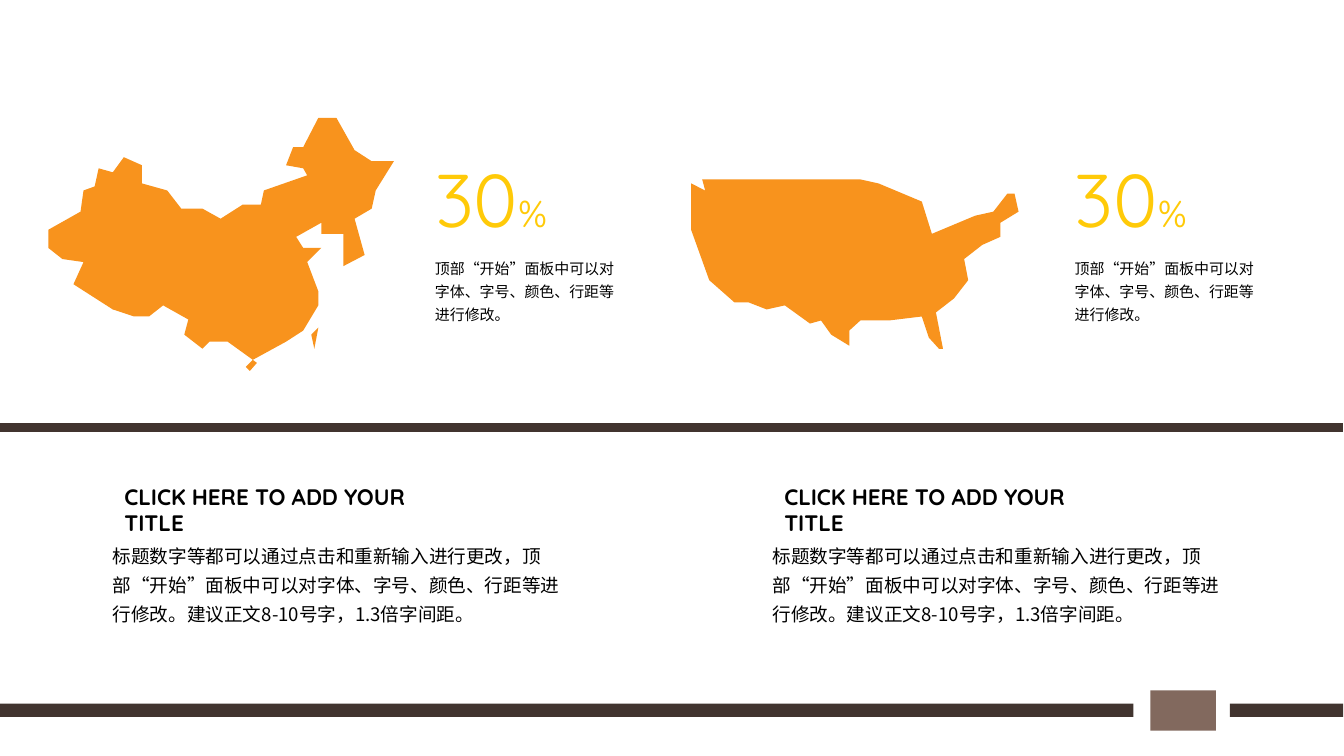
"""Build a two-country comparison slide with maps, percentages and captions."""
import pptx
import pptx.dml.color
import pptx.enum.shapes
import pptx.enum.text
import pptx.util
import lxml.etree

Pt = pptx.util.Pt
RECTANGLE = pptx.enum.shapes.MSO_SHAPE.RECTANGLE

LATIN, CHINESE = "Quicksand", "Noto Sans CJK SC"
ORANGE, YELLOW, BLACK, WHITE = "F8931D", "FFCA08", "000000", "FFFFFF"
BROWN, TAUPE = "41342F", "82695E"

MAP_UNIT = 0.72
HAINAN = [(244, 364), (251, 357), (255, 360), (248, 368)]
TAIWAN = [(309, 332), (316, 325), (312, 346)]
CHINA = [
    (391, 160), (369, 160), (352, 149), (334, 117), (316, 117), (301, 146), (291, 146),
    (284, 164), (301, 167), (305, 174), (262, 189), (259, 203), (241, 203), (219, 217),
    (201, 207), (180, 207), (166, 189), (141, 182), (141, 164), (123, 156), (112, 171),
    (98, 167), (94, 185), (83, 189), (80, 210), (48, 228), (48, 246), (62, 257),
    (83, 260), (73, 282), (112, 307), (133, 314), (148, 314), (162, 303), (187, 317),
    (183, 332), (201, 346), (208, 339), (226, 339), (251, 357), (284, 339), (301, 328),
    (316, 303), (316, 289), (305, 260), (319, 246), (301, 246), (294, 235), (319, 221),
    (319, 232), (341, 232), (341, 264), (362, 253), (352, 217), (369, 207), (373, 189),
]
UNITED_STATES = [
    (743, 300), (761, 307), (779, 303), (804, 321), (815, 318), (825, 332), (843, 343),
    (843, 328), (854, 318), (882, 318), (915, 314), (922, 335), (932, 346), (936, 346),
    (929, 310), (947, 296), (961, 278), (957, 257), (975, 243), (993, 235), (993, 221),
    (1011, 210), (1007, 192), (1000, 192), (986, 210), (968, 214), (925, 232), (915, 200),
    (872, 182), (854, 178), (697, 178), (700, 189), (686, 182), (686, 228), (704, 278),
    (729, 300),
]
NOTE = "顶部“开始”面板中可以对字体、字号、颜色、行距等进行修改。"
TITLE = "CLICK HERE TO ADD YOUR TITLE"
BODY = "标题数字等都可以通过点击和重新输入进行更改，顶部“开始”面板中可以对字体、字号、颜色、行距等进行修改。建议正文8-10号字，1.3倍字间距。"
FOOTER = [(0, 502.6, 810, 9.4, BROWN), (879, 502.6, 81, 9.4, BROWN),
          (822.2, 493.2, 46.8, 28.8, TAUPE)]
FIGURE_LEFTS = (303.8, 761)
CAPTION_LEFTS = (73.4, 545)
TITLE_INDENT = 8.4
LOOSE = 1.3


def colour(code):
    return pptx.dml.color.RGBColor.from_string(code)


def paint(shape, code):
    shape.shadow.inherit = False
    shape.fill.solid()
    shape.fill.fore_color.rgb = colour(code)
    shape.line.fill.background()


def add_block(page, left, top, width, height, code):
    block = page.shapes.add_shape(RECTANGLE, Pt(left), Pt(top), Pt(width), Pt(height))
    paint(block, code)
    return block


def add_outline(page, points):
    builder = page.shapes.build_freeform(*points[0], scale=Pt(MAP_UNIT))
    builder.add_line_segments(points[1:], close=True)
    paint(builder.convert_to_shape(), ORANGE)


def write(box, spans, font, code, spacing=None, bold=False):
    frame = box.text_frame
    frame.word_wrap = True
    frame.vertical_anchor = pptx.enum.text.MSO_ANCHOR.TOP
    para = frame.paragraphs[0]
    para.alignment = pptx.enum.text.PP_ALIGN.LEFT
    if spacing:
        para.line_spacing = spacing
    for text, size in spans:
        span = para.add_run()
        span.text = text
        span.font.size = Pt(size)
        span.font.name = font
        span.font.bold = bold
        span.font.color.rgb = colour(code)
        if font == CHINESE:
            east = lxml.etree.SubElement(span.font._element, pptx.oxml.ns.qn("a:ea"))
            east.set("typeface", font)


def add_text(page, left, top, width, height, *content):
    box = page.shapes.add_textbox(Pt(left), Pt(top), Pt(width), Pt(height))
    write(box, *content)


def add_divider(page, top):
    straight = pptx.enum.shapes.MSO_CONNECTOR.STRAIGHT
    divider = page.shapes.add_connector(straight, Pt(0), Pt(top), Pt(960), Pt(top))
    divider.line.color.rgb = colour(BROWN)
    divider.line.width = Pt(6)
    lxml.etree.SubElement(divider._element.spPr, pptx.oxml.ns.qn("a:effectLst"))


def main():
    deck = pptx.Presentation()
    deck.slide_width, deck.slide_height = Pt(960.48), Pt(540)
    page = deck.slides.add_slide(deck.slide_layouts[6])
    for block in FOOTER:
        add_block(page, *block)
    for outline in (HAINAN, TAIWAN, CHINA, UNITED_STATES):
        add_outline(page, outline)
    for left in FIGURE_LEFTS:
        add_text(page, left, 105.8, 130.3, 72, [("30", 53.3), ("%", 26.7)], LATIN, YELLOW)
        add_text(page, left, 177.8, 146.2, 57.6, [(NOTE, 10.7)], CHINESE, BLACK, LOOSE)
    add_divider(page, 305.4)
    for left in CAPTION_LEFTS:
        title = add_block(page, left + TITLE_INDENT, 341.3, 253.4, 26.6, WHITE)
        write(title, [(TITLE, 16)], LATIN, BLACK, None, True)
        add_text(page, left, 380.9, 339.1, 70.6, [(BODY, 13.3)], CHINESE, BLACK, LOOSE)
    deck.save("out.pptx")


if __name__ == "__main__":
    main()
